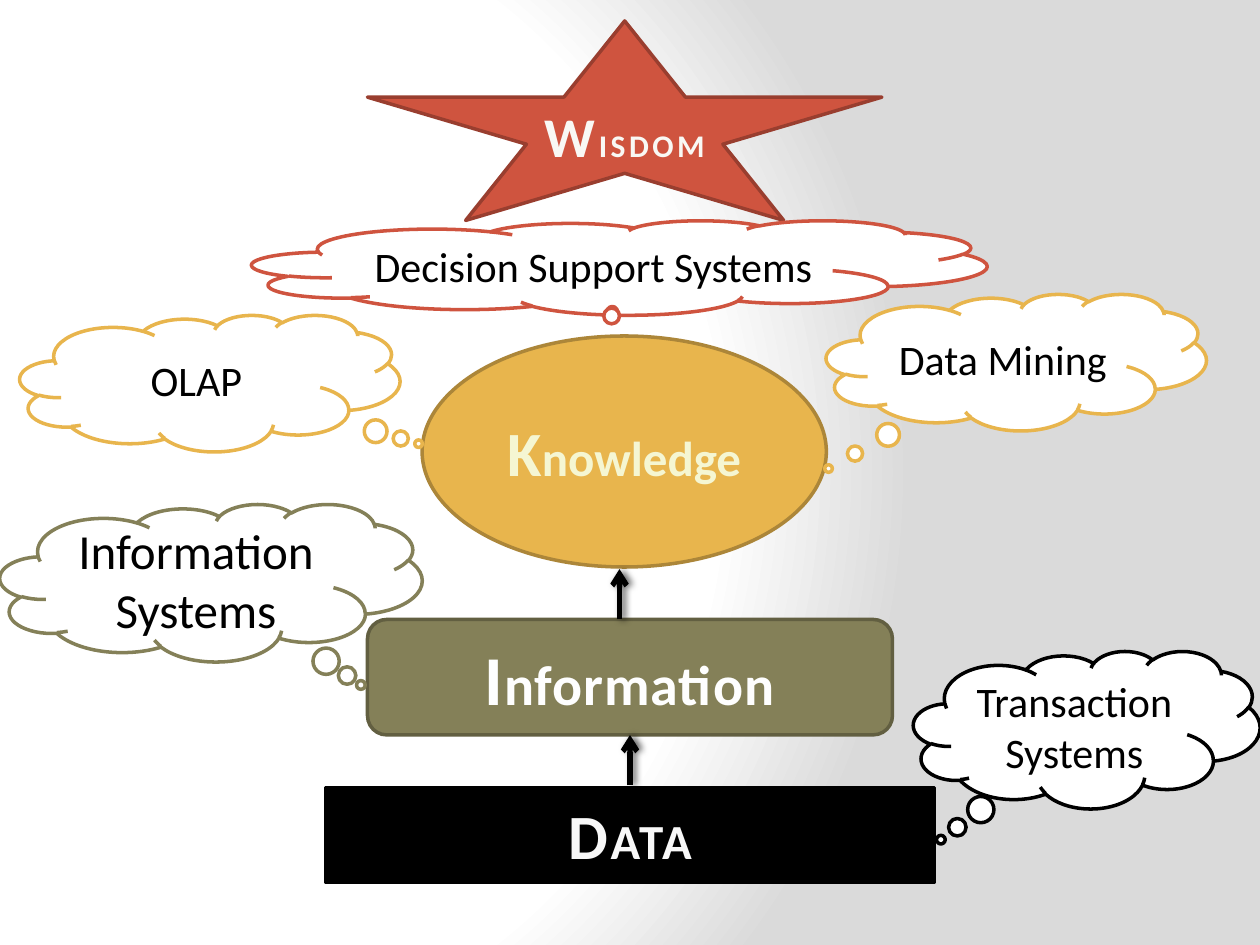
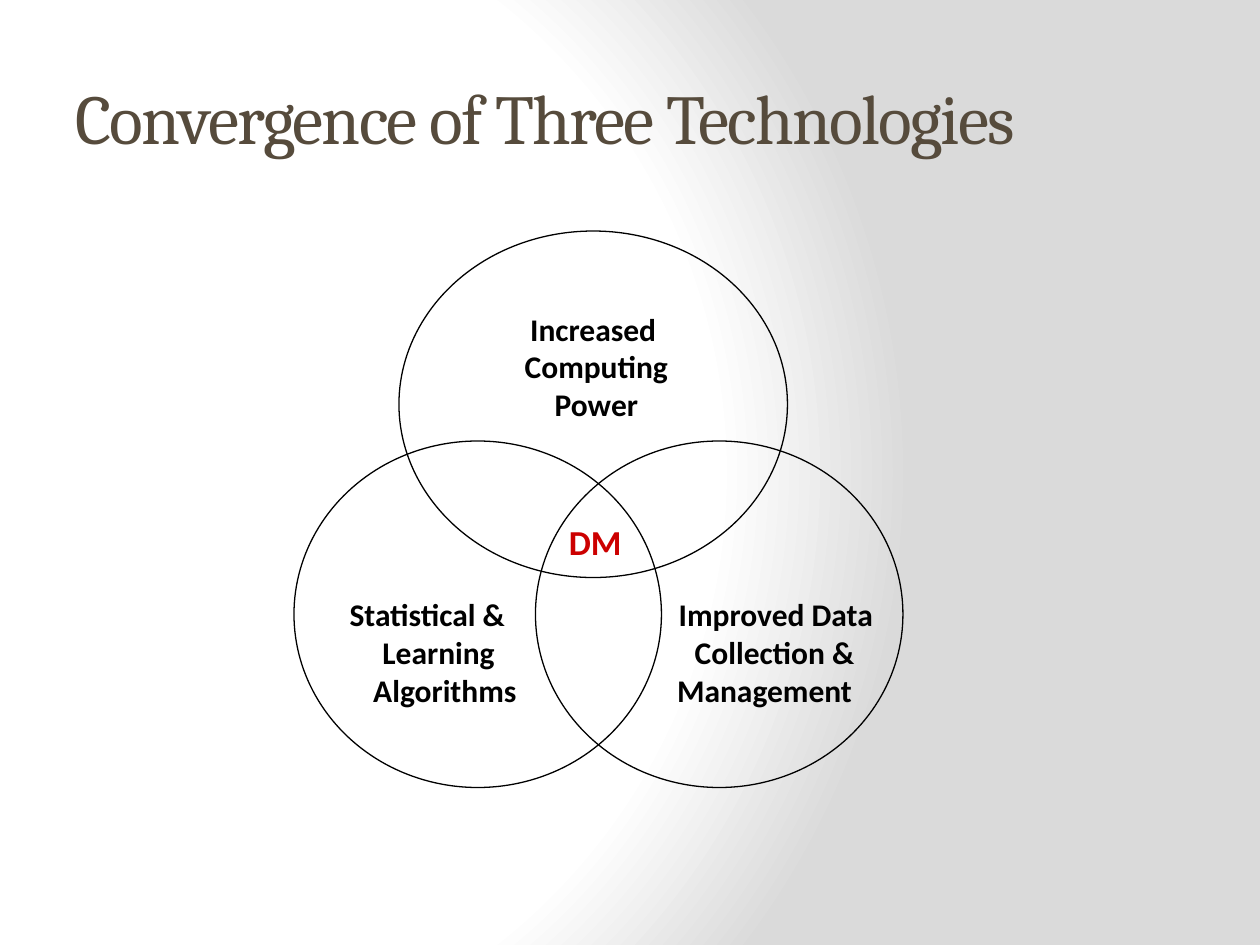
"""Build two slides on the data-to-wisdom hierarchy and the roots of data mining."""
import dataclasses
import typing

import lxml.etree
import pptx
import pptx.dml.color
import pptx.enum.shapes
import pptx.enum.text
import pptx.oxml.ns
import pptx.util

SHAPE = pptx.enum.shapes.MSO_SHAPE
ALIGN = pptx.enum.text.PP_ALIGN
ANCHOR = pptx.enum.text.MSO_ANCHOR
qn = pptx.oxml.ns.qn

WIDTH, HEIGHT = pptx.util.Inches(10), pptx.util.Inches(7.5)
COLUMNS, ROWS = 120, 90


@dataclasses.dataclass(frozen=True)
class Theme:
    """Colours, fonts and type sizes of the deck."""
    body: str = "Calibri"
    heading: str = "Cambria"
    black: str = "000000"
    white: str = "FFFFFF"
    shade: str = "DADADA"
    title: str = "564B3C"
    red: str = "CF543F"
    red_edge: str = "993E2F"
    olive: str = "848058"
    olive_edge: str = "625F41"
    gold: str = "E8B54D"
    gold_edge: str = "AC8639"
    accent: str = "CC0000"
    title_size: float = 40
    cloud_size: float = 24
    large_cloud_size: float = 28
    circle_size: float = 18
    center_size: float = 20
    edge: float = 2
    thin: float = 0.75
    arrow: float = 3


T = Theme()


class Box(typing.NamedTuple):
    """Left, top, width and height in grid columns and rows."""
    x: float
    y: float
    w: float
    h: float


class Level(typing.NamedTuple):
    """One level of the hierarchy, with a large initial letter."""
    kind: typing.Any
    box: Box
    fill: str
    edge: str
    word: str
    sizes: tuple[float, float]
    color: str
    spacing: float = 0


class Cloud(typing.NamedTuple):
    """A thought cloud naming the systems that serve a level."""
    text: str
    box: Box
    tail: tuple[float, float]
    edge: str
    size: float = T.cloud_size


class Circle(typing.NamedTuple):
    """A circle of the diagram, with line indents and text insets in inches."""
    box: Box
    lines: tuple[str, ...]
    indents: tuple[float, ...]
    insets: tuple[float, float, float, float]


LEVELS = (
    Level(SHAPE.RECTANGLE, Box(31, 75, 58, 9), T.black, T.black,
          "DATA", (36, 28), "F8F8F8", 1.5),
    Level(SHAPE.STAR_5_POINT, Box(35, 2, 49, 19), T.red, T.red_edge,
          "WISDOM", (32, 18), "F9F8F4", 2),
    Level(SHAPE.ROUNDED_RECTANGLE, Box(35, 59, 50, 11), T.olive, T.olive_edge,
          "Information", (40, 32), "FEFEFE", 0.5),
    Level(SHAPE.OVAL, Box(40.2, 32, 38.5, 22), T.gold, T.gold_edge,
          "Knowledge", (36, 28), "F5F6D2"),
)
ARROWS = ((60, 74.8, 70), (59, 59, 54.2))
CLOUDS = (
    Cloud("Transaction Systems", Box(87, 62, 33, 15), (-0.421, 0.698), T.black),
    Cloud("Information Systems", Box(0, 48, 40.2, 15), (0.355, 0.649), T.olive,
          T.large_cloud_size),
    Cloud("Data Mining", Box(78.7, 28, 36.2, 13), (-0.494, 0.779), T.gold),
    Cloud("OLAP", Box(1.9, 30, 36.2, 13), (0.549, 0.443), T.gold),
    Cloud("Decision Support Systems", Box(24, 21, 70, 9), (-0.01, 0.476), T.red),
)
CIRCLES = (
    Circle(Box(38, 22, 37, 33), ("Increased", "Computing", "Power"),
           (0, 0.05, 0.05), (0.1, 0.05, 0.1, 0.65)),
    Circle(Box(28, 42, 35, 33), ("Statistical &", "Learning", "Algorithms"),
           (0, 0.18, 0.28), (0, 0.65, 0.8, 0.05)),
    Circle(Box(51, 42, 35, 33), ("Improved Data", "Collection &", "Management"),
           (0.18, 0.16, 0), (0.72, 0.65, 0, 0.05)),
)


def col(n: float) -> int:
    """Convert grid columns to a length."""
    return pptx.util.Emu(round(WIDTH * n / COLUMNS))


def row(n: float) -> int:
    """Convert grid rows to a length."""
    return pptx.util.Emu(round(HEIGHT * n / ROWS))


def place(box: Box) -> tuple[int, int, int, int]:
    """Return the position and size of a grid box."""
    return col(box.x), row(box.y), col(box.w), row(box.h)


def rgb(color: str) -> pptx.dml.color.RGBColor:
    """Return a colour from its hex digits."""
    return pptx.dml.color.RGBColor.from_string(color)


def child(parent: typing.Any, tag: str, **attrs: typing.Any) -> typing.Any:
    """Append an XML element with the given attributes."""
    return lxml.etree.SubElement(
        parent, qn(tag), {k: str(v) for k, v in attrs.items()})


def add_run(p: typing.Any, text: str, *, size: float, color: str = T.black,
            font: str = T.body, bold: bool = False, spacing: float = 0) -> None:
    """Add formatted text to a paragraph."""
    r = p.add_run()
    r.text = text
    r.font.name, r.font.size, r.font.bold = font, pptx.util.Pt(size), bold
    r.font.color.rgb = rgb(color)
    if spacing:
        r.font._element.set("spc", str(round(spacing * 100)))


def add_figure(s: typing.Any, kind: typing.Any, box: Box, *, edge: str,
               fill: str | None = None, width: float = T.edge) -> typing.Any:
    """Add a preset shape with centred text."""
    sp = s.shapes.add_shape(kind, *place(box))
    sp.shadow.inherit = False
    if fill:
        sp.fill.solid()
        sp.fill.fore_color.rgb = rgb(fill)
    else:
        sp.fill.background()
    sp.line.color.rgb = rgb(edge)
    sp.line.width = pptx.util.Pt(width)
    tf = sp.text_frame
    tf.word_wrap, tf.vertical_anchor = True, ANCHOR.MIDDLE
    tf.paragraphs[0].alignment = ALIGN.CENTER
    return sp


def add_label(s: typing.Any, box: Box, text: str, *,
              anchor: typing.Any = ANCHOR.TOP, **style: typing.Any) -> None:
    """Add a text box holding one line."""
    tf = s.shapes.add_textbox(*place(box)).text_frame
    tf.word_wrap, tf.vertical_anchor = True, anchor
    add_run(tf.paragraphs[0], text, **style)


def add_level(s: typing.Any, level: Level) -> None:
    """Draw one level of the hierarchy."""
    sp = add_figure(s, level.kind, level.box, fill=level.fill, edge=level.edge)
    for text, size in zip((level.word[0], level.word[1:]), level.sizes):
        add_run(sp.text_frame.paragraphs[0], text, size=size, bold=True,
                color=level.color, spacing=level.spacing)


def add_arrow(s: typing.Any, x: float, start: float, end: float) -> None:
    """Draw an upward arrow with a soft shadow."""
    c = s.shapes.add_connector(pptx.enum.shapes.MSO_CONNECTOR.STRAIGHT,
                               col(x), row(start), col(x), row(end))
    c.line.color.rgb = rgb(T.black)
    c.line.width = pptx.util.Pt(T.arrow)
    child(c.line._get_or_add_ln(), "a:tailEnd", type="arrow")
    effects = child(c._element.spPr, "a:effectLst")
    shadow = child(effects, "a:outerShdw", blurRad=pptx.util.Pt(4),
                   dist=pptx.util.Pt(2), dir=0)
    child(child(shadow, "a:srgbClr", val=T.black), "a:alpha", val=60000)


def add_cloud(s: typing.Any, cloud: Cloud) -> None:
    """Draw a thought cloud."""
    sp = add_figure(s, SHAPE.CLOUD_CALLOUT, cloud.box, fill=T.white, edge=cloud.edge)
    sp.adjustments[0], sp.adjustments[1] = cloud.tail
    add_run(sp.text_frame.paragraphs[0], cloud.text, size=cloud.size)


def add_circle(s: typing.Any, circle: Circle) -> None:
    """Draw a circle with its lines of text."""
    sp = add_figure(s, SHAPE.OVAL, circle.box, edge=T.black, width=T.thin)
    tf = sp.text_frame
    tf.word_wrap = False
    tf.margin_left, tf.margin_top, tf.margin_right, tf.margin_bottom = map(
        pptx.util.Inches, circle.insets)
    for i, (text, indent) in enumerate(zip(circle.lines, circle.indents)):
        p = tf.add_paragraph() if i else tf.paragraphs[0]
        p.alignment = ALIGN.CENTER
        p._p.get_or_add_pPr().set("marL", str(pptx.util.Inches(indent)))
        add_run(p, text, size=T.circle_size, bold=True)


def set_background(master: typing.Any) -> None:
    """Give every slide the circular gradient."""
    master.background.fill.gradient()
    grad = master._element.find(".//" + qn("p:bgPr")).find(qn("a:gradFill"))
    for old in list(grad):
        grad.remove(old)
    stops = child(grad, "a:gsLst")
    for share, color in ((0, T.white), (75, T.white), (100, T.shade)):
        child(child(stops, "a:gs", pos=share * 1000), "a:srgbClr", val=color)
    child(child(grad, "a:path", path="circle"), "a:fillToRect",
          l=20000, t=50000, r=100000, b=50000)


def build_hierarchy(s: typing.Any) -> None:
    """Draw the path from data to wisdom."""
    for level in LEVELS:
        add_level(s, level)
    for arrow in ARROWS:
        add_arrow(s, *arrow)
    for cloud in CLOUDS:
        add_cloud(s, cloud)


def build_convergence(s: typing.Any) -> None:
    """Draw the three overlapping technologies."""
    add_label(s, Box(6, 3.6, 100, 15), "Convergence of Three Technologies",
              anchor=ANCHOR.MIDDLE, size=T.title_size, font=T.heading,
              color=T.title, spacing=-1)
    for circle in CIRCLES:
        add_circle(s, circle)
    add_label(s, Box(53, 49, 9, 5.1), "DM", size=T.center_size,
              color=T.accent, bold=True)


def main() -> None:
    """Build and save the deck."""
    prs = pptx.Presentation()
    prs.slide_width, prs.slide_height = WIDTH, HEIGHT
    set_background(prs.slide_master)
    for build in (build_hierarchy, build_convergence):
        build(prs.slides.add_slide(prs.slide_layouts[6]))
    prs.save("out.pptx")


if __name__ == "__main__":
    main()
